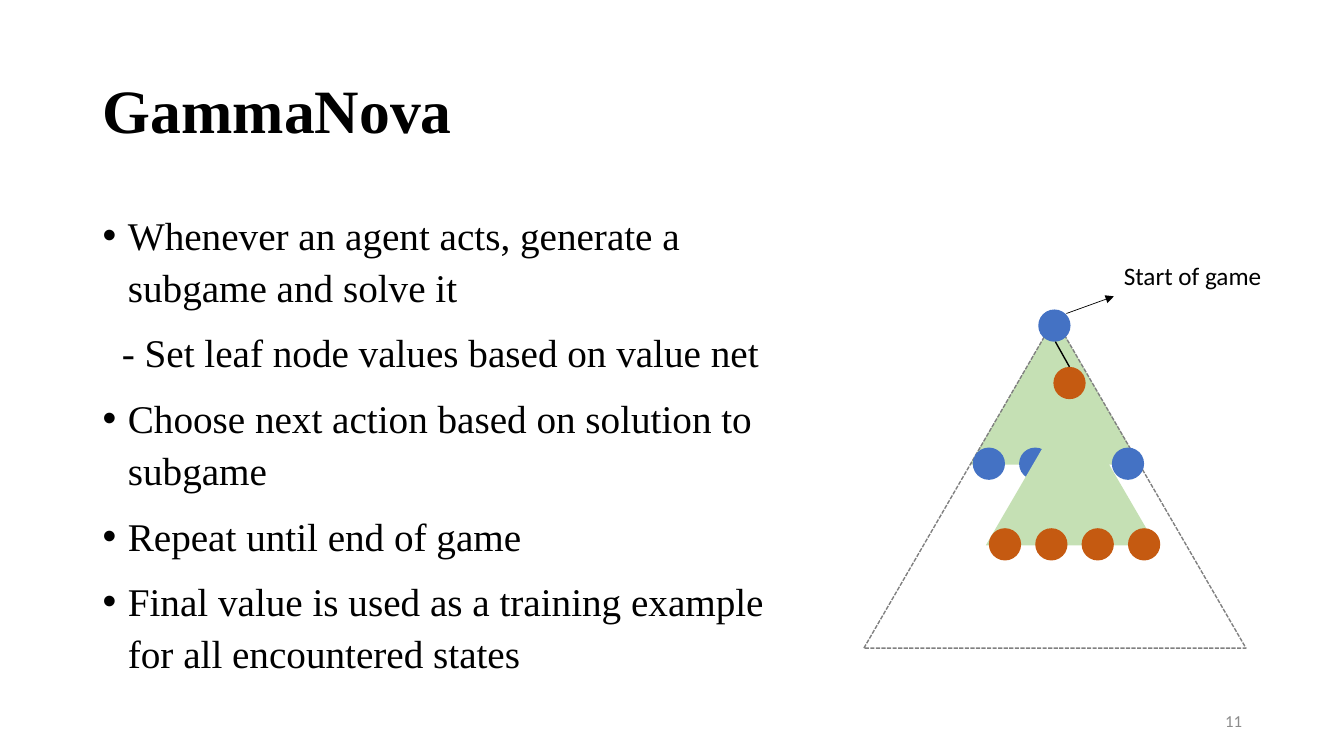
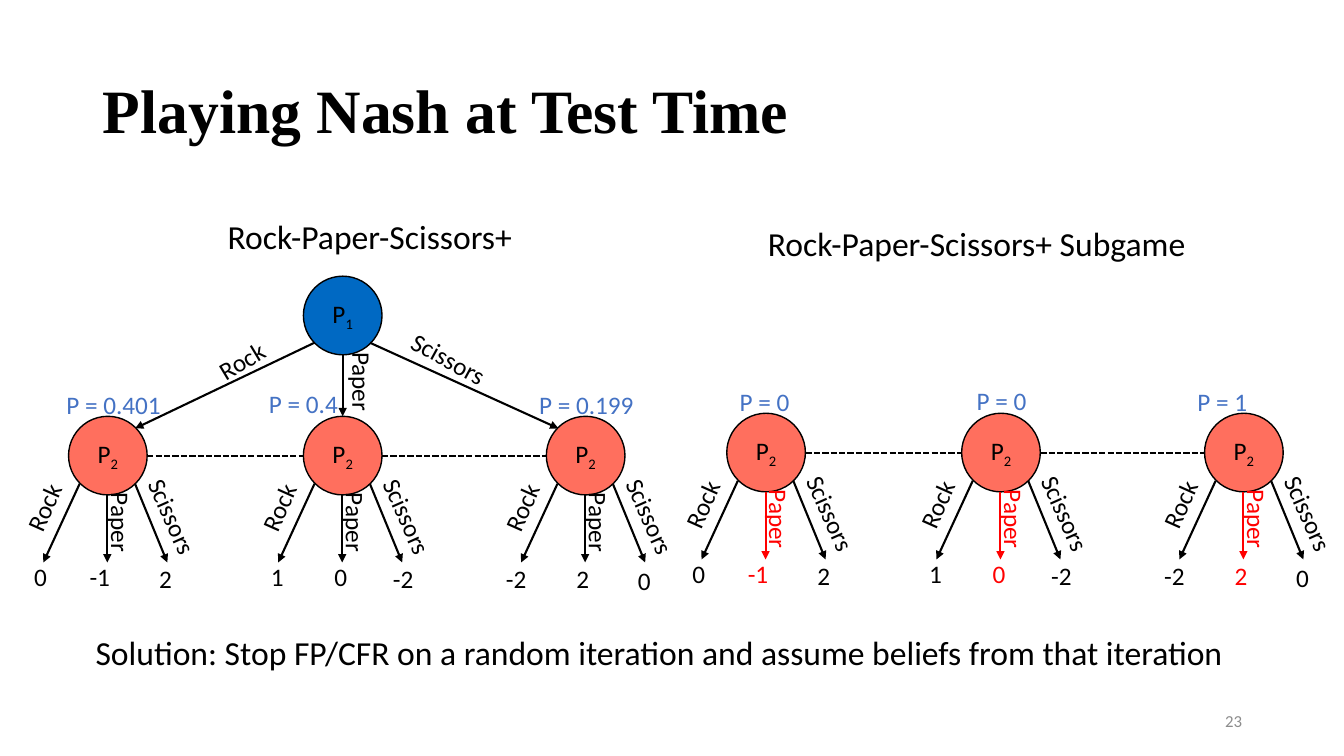
from dataclasses import dataclass
from typing import Any, NamedTuple

from lxml.etree import SubElement as Sub
from pptx import Presentation
from pptx.dml.color import RGBColor as Rgb
from pptx.enum.dml import MSO_LINE as Dash
from pptx.enum.shapes import MSO_CONNECTOR as Link, MSO_SHAPE as Kind
from pptx.enum.text import MSO_ANCHOR as Anchor, PP_ALIGN as Align
from pptx.oxml.ns import qn
from pptx.util import Emu, Inches, Pt

UNIT = Inches(0.1)
WIDE, HIGH = 133.33, 75


@dataclass(frozen=True)
class Theme:
    black: str = "000000"
    gray: str = "808080"
    faint: str = "8C8C8C"
    blue: str = "4472C4"
    rust: str = "C55A11"
    green: str = "C5E0B4"
    deep: str = "0069C3"
    coral: str = "FF6F5E"
    red: str = "FF0000"
    serif: str = "Times New Roman"
    sans: str = "Calibri"
    title: int = 44
    body: int = 28
    lead: int = 24
    label: int = 18
    small: int = 12


T = Theme()


class Box(NamedTuple):
    x: float
    y: float
    w: float
    h: float


class Label(NamedTuple):
    text: str
    x: float
    y: float
    w: float
    turn: float = 0
    ink: str = T.black
    size: int = T.label
    wrap: bool = True


class Arrow(NamedTuple):
    x1: float
    y1: float
    x2: float
    y2: float
    ink: str = T.black
    thick: float = 1.5
    head: bool = True
    dash: bool = False


class Item(NamedTuple):
    text: str
    left: float = 0.25
    hang: float = -0.25
    mark: str = "•"


class Node(NamedTuple):
    x: float
    odds: str
    tag: tuple[float, float]
    pays: tuple[str, str, str]
    cols: tuple[float, float, float]
    drop: float = 0


def grid(n: float) -> Emu:
    return Emu(round(n * UNIT))


def put(obj: Any, vals: dict[str, Any]) -> None:
    for key, val in vals.items():
        setattr(obj, key, val)


def place(obj: Any, box: Box) -> None:
    put(obj, dict(zip(("left", "top", "width", "height"), map(grid, box))))


def write(par: Any, text: str, size: int, ink: str = T.black, face: str = T.sans, bold: bool = False) -> Any:
    run = par.add_run()
    run.text = text
    put(run.font, {"size": Pt(size), "name": face, "bold": bold})
    run.font.color.rgb = Rgb.from_string(ink)
    return run


def frame(slide: Any, box: Box, wrap: bool = True) -> Any:
    area = slide.shapes.add_textbox(*map(grid, box))
    area.text_frame.word_wrap = wrap
    return area


def note(slide: Any, tag: Label) -> None:
    tall = 5 if tag.size == T.lead else 4
    area = frame(slide, Box(tag.x, tag.y, tag.w, tall), tag.wrap)
    area.rotation = tag.turn
    write(area.text_frame.paragraphs[0], tag.text, tag.size, tag.ink)


def form(slide: Any, kind: Any, box: Box, fill: str = "", edge: str = "", dash: bool = False) -> Any:
    shape = slide.shapes.add_shape(kind, *map(grid, box))
    shape.shadow.inherit = False
    if fill:
        shape.fill.solid()
        shape.fill.fore_color.rgb = Rgb.from_string(fill)
    else:
        shape.fill.background()
    if edge:
        shape.line.color.rgb = Rgb.from_string(edge)
        shape.line.width = Pt(1)
    else:
        shape.line.fill.background()
    if dash:
        shape.line.dash_style = Dash.SQUARE_DOT
    return shape


def draw(slide: Any, path: Arrow) -> None:
    line = slide.shapes.add_connector(Link.STRAIGHT, *map(grid, path[:4]))
    line.line.color.rgb = Rgb.from_string(path.ink)
    line.line.width = Pt(path.thick)
    if path.dash:
        line.line.dash_style = Dash.SQUARE_DOT
    if path.head:
        Sub(line.line._get_or_add_ln(), qn("a:tailEnd"), type="triangle")
    Sub(line._element.spPr, qn("a:effectLst"))


def page(deck: Any, title: str, count: str) -> Any:
    slide = deck.slides.add_slide(deck.slide_layouts[5])
    head = slide.shapes.title
    place(head, Box(9.2, 4, 115, 14.5))
    head.text_frame.vertical_anchor = Anchor.MIDDLE
    par = head.text_frame.paragraphs[0]
    put(par, {"alignment": Align.LEFT, "line_spacing": 0.9})
    write(par, title, T.title, face=T.serif, bold=True)
    foot = frame(slide, Box(94.2, 69.5, 30, 4)).text_frame
    foot.vertical_anchor = Anchor.MIDDLE
    foot.paragraphs[0].alignment = Align.RIGHT
    write(foot.paragraphs[0], count, T.small, T.faint)
    return slide


def bullets(slide: Any, box: Box, items: list[Item]) -> None:
    text = frame(slide, box).text_frame
    for i, item in enumerate(items):
        par = text.add_paragraph() if i else text.paragraphs[0]
        props = par._p.get_or_add_pPr()
        props.set("marL", str(Inches(item.left)))
        props.set("indent", str(Inches(item.hang)))
        if item.mark:
            Sub(props, qn("a:buFont"), typeface="Arial")
            Sub(props, qn("a:buChar"), char=item.mark)
        put(par, {"line_spacing": 1.1, "space_before": Pt(10 if i else 0)})
        write(par, item.text, T.body, face=T.serif)


def dots(slide: Any, x: float, y: float, ink: str, count: int = 1) -> None:
    for i in range(count):
        form(slide, Kind.OVAL, Box(x + i * 4.6, y, 3.2, 3.2), ink)


def player(slide: Any, x: float, y: float, index: str, fill: str) -> None:
    text = form(slide, Kind.OVAL, Box(x, y, 7.8, 7.8), fill, T.black).text_frame
    put(text, {"word_wrap": False, "vertical_anchor": Anchor.MIDDLE})
    par = text.paragraphs[0]
    par.alignment = Align.CENTER
    write(par, "P", T.label)
    write(par, index, T.label)._r.get_or_add_rPr().set("baseline", "-25000")


def branch(slide: Any, node: Node, dx: float, y: float, ink: str) -> None:
    x = dx + node.x
    player(slide, x, y, "2", T.coral)
    stem = x + 3.85
    top, tip = y + 6.7, y + 14.5
    for path in (
        Arrow(stem, y + 7.8, stem, tip, ink),
        Arrow(stem - 2.75, top, stem - 6.35, tip),
        Arrow(stem + 2.75, top, stem + 5.95, tip),
    ):
        draw(slide, path)
    for tag in (
        Label("Rock", x - 6.6, y + 5.9, 9.3, 294),
        Label("Scissors", x + 4.55, y + 9.25, 12.7, 66),
        Label("Paper", x + 0.55, y + 9.25, 9.3, 90, ink),
        Label(node.odds, node.tag[0], node.tag[1], 11.9, ink=T.blue),
    ):
        note(slide, tag)
    inks = (T.black, ink, T.black)
    sinks = (0, 0, 0.2)
    for pay, col, hue, sink in zip(node.pays, node.cols, inks, sinks):
        note(slide, Label(pay, dx + col, y + 13.9 + sink + node.drop, 5.7, ink=hue))


def game(slide: Any, nodes: list[Node], dx: float, y: float, ink: str = T.black) -> None:
    for node in nodes:
        branch(slide, node, dx, y, ink)
    for a, b in zip(nodes, nodes[1:]):
        draw(slide, Arrow(dx + a.x + 7.8, y + 3.9, dx + b.x, y + 3.9, head=False, dash=True))


def solver(deck: Any) -> None:
    slide = page(deck, "GammaNova", "11")
    bullets(slide, Box(9.2, 20, 69.8, 47.6), [
        Item("Whenever an agent acts, generate a subgame and solve it"),
        Item("- Set leaf node values based on value net", 0.19, 0, ""),
        Item("Choose next action based on solution to subgame"),
        Item("Repeat until end of game"),
        Item("Final value is used as a training example for all encountered states"),
    ])
    cone = Kind.ISOSCELES_TRIANGLE
    form(slide, cone, Box(96.2, 31.6, 16.9, 14.5), T.green)
    form(slide, cone, Box(85.7, 31.6, 37.9, 32.7), edge=T.gray, dash=True)
    dots(slide, 103, 30.7, T.blue)
    draw(slide, Arrow(105.8, 31.1, 110.5, 29.4, thick=0.5))
    note(slide, Label("Start of game", 110.5, 25.3, 20.5))
    dots(slide, 96.5, 44.4, T.blue, 4)
    dots(slide, 104.5, 36.4, T.rust)
    draw(slide, Arrow(106.1, 36.4, 104.7, 33.9, thick=1, head=False))
    form(slide, cone, Box(97.8, 39.6, 16.9, 14.5), T.green)
    dots(slide, 98.1, 52.4, T.rust, 4)


def nash(deck: Any) -> None:
    slide = page(deck, "Playing Nash at Test Time", "23")
    full = [
        Node(6.8, "P = 0.401", (5.6, 38.1), ("0", "-1", "2"), (2.4, 7.9, 14.8)),
        Node(30.1, "P = 0.4", (25.7, 38), ("1", "0", "-2"), (25.9, 32.2, 38)),
        Node(54.2, "P = 0.199", (52.5, 38.1), ("-2", "2", "0"), (49.2, 56.2, 62.3), 0.2),
    ]
    odds = ("P = 0", "P = 0", "P = 1")
    tags = ((72.4, 37.8), (95.9, 37.7), (117.8, 37.8))
    part = [node._replace(odds=o, tag=t) for node, o, t in zip(full, odds, tags)]
    player(slide, 30.1, 27.4, "1", T.deep)
    for path in (
        Arrow(31.2, 34, 13.4, 42.5),
        Arrow(34, 35.2, 34, 41.3),
        Arrow(36.7, 34, 55.4, 42.5),
    ):
        draw(slide, path)
    game(slide, full, 0, 41.3)
    game(slide, part, 65.3, 41, T.red)
    for tag in (
        Label("Rock", 20.1, 32.1, 13.3, 329),
        Label("Scissors", 39.4, 34.4, 13.3, 28.6),
        Label("Paper", 29.3, 38.6, 13.3, 90),
        Label("Rock-Paper-Scissors+", 21.6, 20.9, 30.7, size=T.lead, wrap=False),
        Label("Rock-Paper-Scissors+ Subgame", 75.2, 21.6, 44, size=T.lead, wrap=False),
        Label("Solution: Stop FP/CFR on a random iteration and assume beliefs from that iteration",
              8.5, 62.2, 115.6, size=T.lead, wrap=False),
    ):
        note(slide, tag)


def main() -> None:
    deck = Presentation()
    put(deck, {"slide_width": grid(WIDE), "slide_height": grid(HIGH)})
    solver(deck)
    nash(deck)
    deck.save("out.pptx")


if __name__ == "__main__":
    main()
